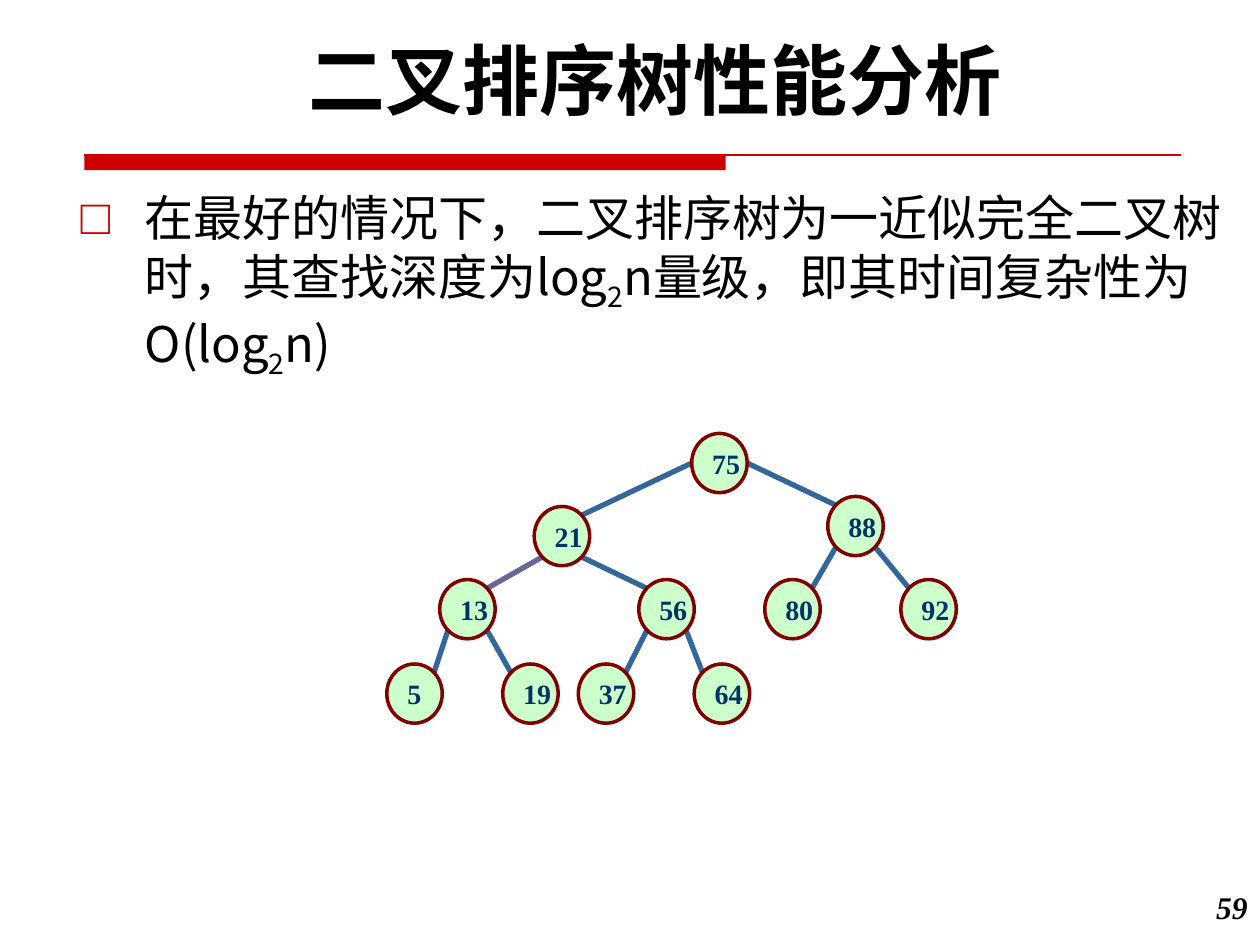
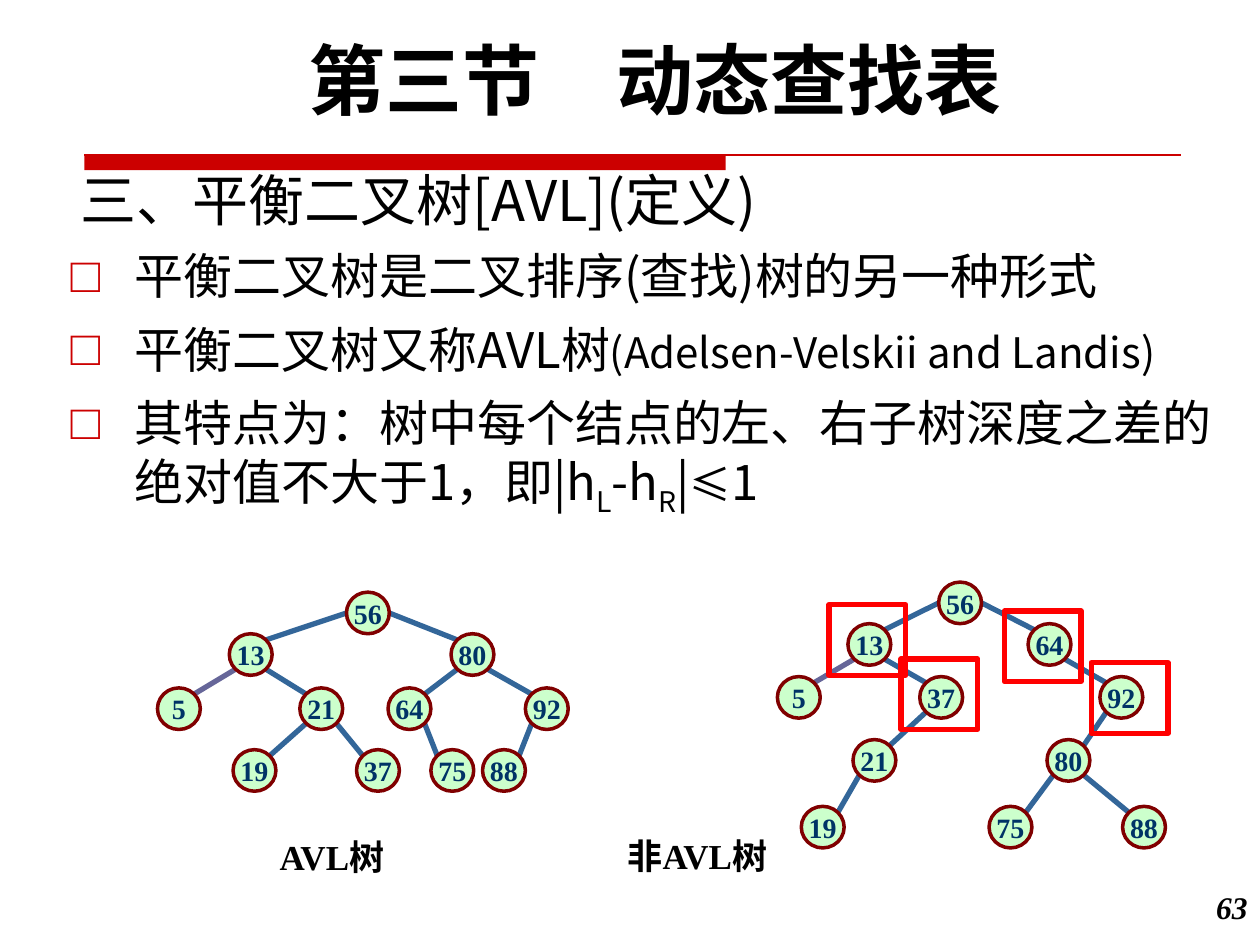
from dataclasses import dataclass

from lxml.etree import SubElement
from pptx import Presentation
from pptx.dml.color import RGBColor
from pptx.enum.shapes import MSO_CONNECTOR, MSO_SHAPE
from pptx.enum.text import MSO_ANCHOR, MSO_AUTO_SIZE, PP_ALIGN
from pptx.oxml.ns import qn
from pptx.util import Inches, Pt


@dataclass(frozen=True)
class Theme:
    black = RGBColor.from_string("000000")
    band = RGBColor.from_string("CC0000")
    node_fill = RGBColor.from_string("CCFFCC")
    node_line = RGBColor.from_string("800000")
    node_text = RGBColor.from_string("003366")
    edge = RGBColor.from_string("336699")
    accent_edge = RGBColor.from_string("666699")
    highlight = RGBColor.from_string("FF0000")
    title_font = "Roboto"
    body_font = "Noto Sans CJK SC"
    label_font = "Times New Roman"
    title_size = 44
    section_size = 32
    body_size = 28
    small_size = 24
    caption_size = 20
    number_size = 18
    node_size = 16


theme = Theme()

# Body paragraphs are lists of (text, style); style is "", "sub" or "small".
# A tree is a list of rows, root first: (top, {key: left}).
slides = [
    {
        "title": "二叉排序树性能分析",
        "number": "59",
        "body_box": (0.54, 1.44, 9.58, 1.83),
        "body": [
            [("在最好的情况下，二叉排序树为一近似完全二叉树时，其查找深度为log", ""), ("2", "sub"),
             ("n量级，即其时间复杂性为O(log", ""), ("2", "sub"), ("n)", "")],
        ],
        "node_box": (0.44, 0.47),
        "node_align": PP_ALIGN.LEFT,
        "accent_child": 13,
        "trees": [
            [
                (3.44, {75: 5.49}),
                (4.02, {21: 4.24}),
                (3.94, {88: 6.57}),
                (4.6, {13: 3.49, 56: 5.07, 80: 6.07, 92: 7.15}),
                (5.27, {5: 3.07, 19: 3.99, 37: 4.59, 64: 5.51}),
            ],
        ],
        "labels": [],
        "highlights": [],
    },
    {
        "title": "第三节　动态查找表",
        "number": "63",
        "body_box": (0.46, 1.9, 9.58, 2.36),
        "body": [
            [("平衡二叉树是二叉排序(查找)树的另一种形式", "")],
            [("平衡二叉树又称AVL树", ""), ("(Adelsen-Velskii and Landis)", "small")],
            [("其特点为：树中每个结点的左、右子树深度之差的绝对值不大于1，即|h", ""), ("L", "sub"),
             ("-h", ""), ("R", "sub"), ("|", ""), ("≤", "small"), ("1", "")],
        ],
        "node_box": (0.34, 0.33),
        "node_align": PP_ALIGN.CENTER,
        "accent_child": 5,
        "trees": [
            [
                (4.62, {56: 7.45}),
                (4.95, {13: 6.73, 64: 8.16}),
                (5.37, {5: 6.17, 37: 7.3, 92: 8.73}),
                (5.87, {21: 6.77, 80: 8.31}),
                (6.4, {19: 6.36, 75: 7.85, 88: 8.91}),
            ],
            [
                (4.7, {56: 2.75}),
                (5.03, {13: 1.82, 80: 3.58}),
                (5.46, {5: 1.25, 21: 2.38, 64: 3.08, 92: 4.17}),
                (5.95, {19: 1.85, 37: 2.83, 75: 3.42, 88: 3.83}),
            ],
        ],
        "labels": [
            ("三、平衡二叉树[AVL](定义)", (0.54, 1.15, 6.25, 0.75), PP_ALIGN.LEFT,
             MSO_ANCHOR.BOTTOM, theme.body_font, theme.section_size, False),
            ("AVL树", (2.01, 6.58, 1.25, 0.43), PP_ALIGN.CENTER,
             MSO_ANCHOR.TOP, theme.label_font, theme.caption_size, True),
            ("非AVL树", (4.71, 6.57, 1.65, 0.44), PP_ALIGN.CENTER,
             MSO_ANCHOR.TOP, theme.label_font, theme.caption_size, True),
        ],
        "highlights": [(7.97, 4.85), (8.66, 5.26), (6.58, 4.8), (7.15, 5.23)],
    },
]


def format_text(shape, align, anchor, font_name, size, bold, color=theme.black, wrap=True):
    frame = shape.text_frame
    frame.word_wrap = wrap
    frame.auto_size = MSO_AUTO_SIZE.NONE
    frame.vertical_anchor = anchor
    for paragraph in frame.paragraphs:
        paragraph.alignment = align
        for run in paragraph.runs:
            run.font.name = font_name
            run.font.size = Pt(size)
            run.font.bold = bold
            run.font.color.rgb = color


def add_line(shapes, ends, color, width):
    line = shapes.add_connector(MSO_CONNECTOR.STRAIGHT, *map(Inches, ends))
    line.line.color.rgb = color
    line.line.width = Pt(width)
    SubElement(line.element.spPr, qn("a:effectLst"))


presentation = Presentation()
presentation.slide_width = Inches(10)
presentation.slide_height = Inches(7.5)

for content in slides:
    slide = presentation.slides.add_slide(presentation.slide_layouts[1])
    shapes = slide.shapes

    # Red band under the title
    band = shapes.add_shape(MSO_SHAPE.RECTANGLE, *map(Inches, (0.67, 1.23, 5.09, 0.12)))
    band.shadow.inherit = False
    band.fill.solid()
    band.fill.fore_color.rgb = theme.band
    band.line.fill.background()
    add_line(shapes, (0.67, 1.23, 9.37, 1.23), theme.band, 0.75)

    # Title and slide number
    title = shapes.title
    title.left, title.top, title.width, title.height = map(Inches, (0.58, 0.21, 9.25, 0.84))
    title.text_frame.text = content["title"]
    format_text(title, PP_ALIGN.CENTER, MSO_ANCHOR.TOP, theme.title_font, theme.title_size, True)

    number = shapes.add_textbox(*map(Inches, (9.33, 7, 0.67, 0.5)))
    number.text_frame.text = content["number"]
    format_text(number, PP_ALIGN.RIGHT, MSO_ANCHOR.TOP, theme.label_font, theme.number_size, True)
    number.text_frame.paragraphs[0].runs[0].font.italic = True

    # Bulleted body
    body = slide.placeholders[1]
    body.left, body.top, body.width, body.height = map(Inches, content["body_box"])
    for index, pieces in enumerate(content["body"]):
        frame = body.text_frame
        paragraph = frame.add_paragraph() if index else frame.paragraphs[0]
        paragraph.space_before = Pt(8.4 if index else 0)
        properties = paragraph._p.get_or_add_pPr()
        properties.set("marL", str(Inches(0.51)))
        properties.set("indent", str(-Inches(0.51)))
        SubElement(SubElement(properties, qn("a:buClr")), qn("a:srgbClr"), val=str(theme.band))
        SubElement(properties, qn("a:buChar"), char="□")
        for text, style in pieces:
            paragraph.add_run().text = text
    format_text(body, PP_ALIGN.LEFT, MSO_ANCHOR.TOP, theme.body_font, theme.body_size, False)
    for paragraph, pieces in zip(body.text_frame.paragraphs, content["body"]):
        for run, (text, style) in zip(paragraph.runs, pieces):
            if style == "sub":
                run.font._element.set("baseline", "-25000")
            elif style == "small":
                run.font.size = Pt(theme.small_size)

    # Search trees: a child's parent is the last key met when searching for it
    width, height = content["node_box"]
    for rows in content["trees"]:
        group = shapes.add_group_shape()
        nodes = {key: (left, top) for top, row in rows for key, left in row.items()}
        root = next(iter(nodes))
        children = {}
        for key, (left, top) in nodes.items():
            parent, current = None, root
            while current is not None and current != key:
                parent, side = current, 1 if key > current else -1
                current = children.get((parent, side))
            if parent is None:
                continue
            children[parent, side] = key
            # Edges leave the root at its sides, other nodes at their lower diagonals
            parent_left, parent_top = nodes[parent]
            across, down = (0.5, 0.5) if parent == root else (0.35, 0.85)
            ends = (parent_left + width * (0.5 + side * across), parent_top + height * down,
                    left + width * (0.5 - side * 0.35), top + height * 0.15)
            color = theme.accent_edge if key == content["accent_child"] else theme.edge
            add_line(group.shapes, ends, color, 3)

        for key, position in nodes.items():
            node = group.shapes.add_shape(
                MSO_SHAPE.OVAL, *map(Inches, position + content["node_box"]))
            node.shadow.inherit = False
            node.fill.solid()
            node.fill.fore_color.rgb = theme.node_fill
            node.line.color.rgb = theme.node_line
            node.line.width = Pt(2)
            node.text_frame.text = str(key)
            format_text(node, content["node_align"], MSO_ANCHOR.MIDDLE, theme.label_font,
                        theme.node_size, True, theme.node_text, wrap=False)

    # Section heading, captions and frames around unbalanced nodes
    for text, box, *text_format in content["labels"]:
        label = shapes.add_textbox(*map(Inches, box))
        label.text_frame.text = text
        format_text(label, *text_format)
    for position in content["highlights"]:
        highlight = shapes.add_shape(MSO_SHAPE.RECTANGLE, *map(Inches, position + (0.61, 0.56)))
        highlight.shadow.inherit = False
        highlight.fill.background()
        highlight.line.color.rgb = theme.highlight
        highlight.line.width = Pt(3)

presentation.save("out.pptx")
